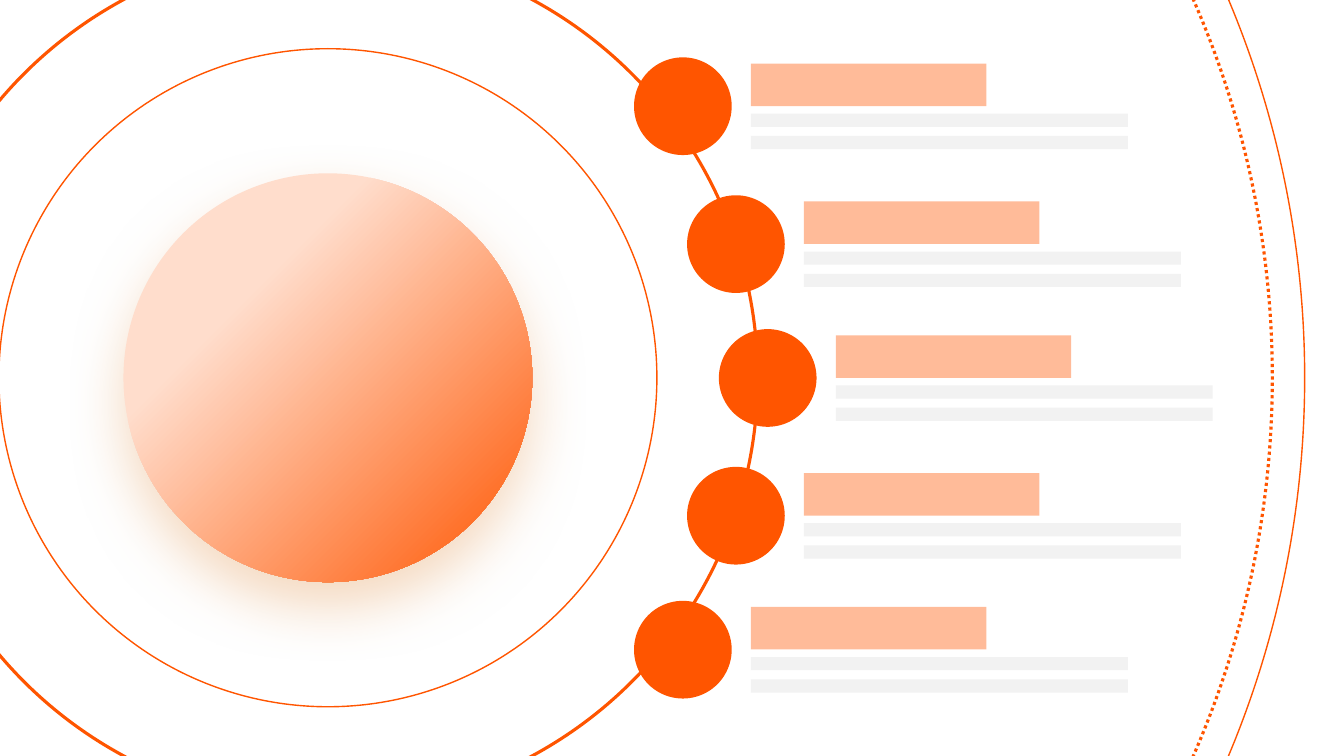
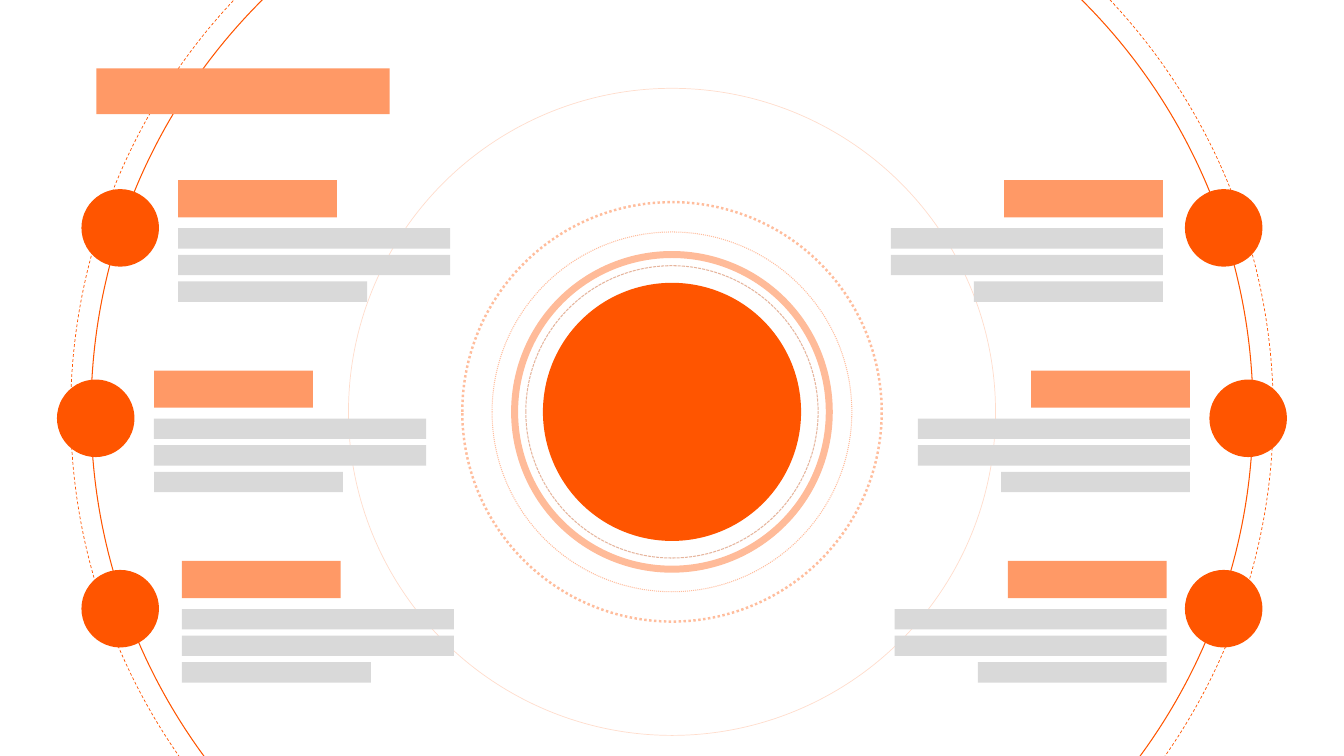
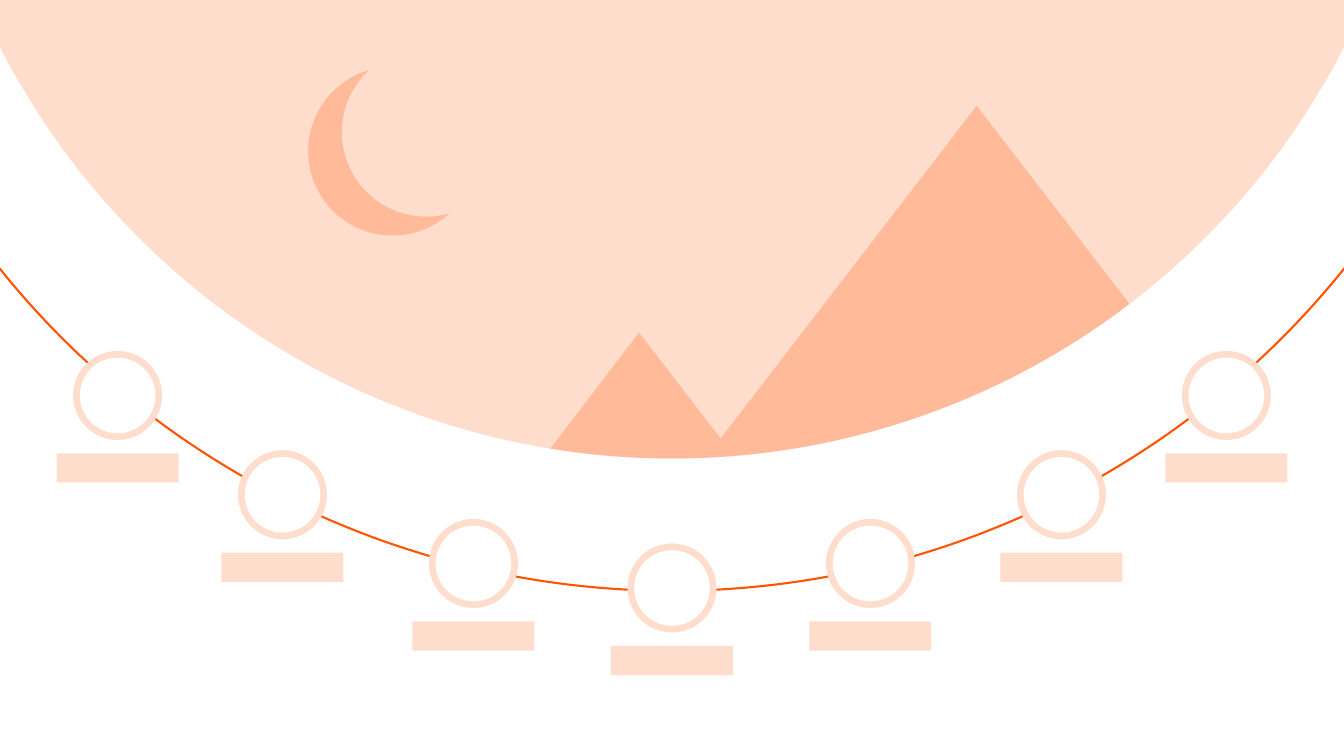
from itertools import pairwise
from math import cos, radians, sin, tan

from pptx import Presentation
from pptx.dml.color import RGBColor
from pptx.enum.dml import MSO_LINE as DASH
from pptx.enum.shapes import MSO_SHAPE as SHAPE
from pptx.oxml import parse_xml
from pptx.oxml.ns import nsdecls, qn
from pptx.util import Pt

ORANGE = RGBColor(0xFF, 0x55, 0x00)
RUST = RGBColor(0xBF, 0x40, 0x00)
MID_ORANGE = RGBColor(0xFF, 0x99, 0x66)
PEACH = RGBColor(0xFF, 0xBB, 0x99)
PALE_PEACH = RGBColor(0xFF, 0xDD, 0xCC)
GREY = RGBColor(0xD9, 0xD9, 0xD9)
LIGHT_GREY = RGBColor(0xF2, 0xF2, 0xF2)
WHITE = RGBColor(0xFF, 0xFF, 0xFF)
WIDTH, HEIGHT = 960, 540
MID_X = WIDTH / 2


def paint(sp, color):
    """Give a shape a plain fill without line or shadow."""
    sp.shadow.inherit = False
    sp.fill.solid()
    sp.fill.fore_color.rgb = color
    sp.line.fill.background()
    return sp


def outline(sp, width, color=ORANGE, dash=None, alpha=None):
    """Give a shape a line only, optionally dashed or translucent."""
    sp.shadow.inherit = False
    sp.fill.background()
    sp.line.color.rgb = color
    sp.line.width = Pt(width)
    if dash:
        sp.line.dash_style = dash
    if alpha:
        clr = sp._element.spPr.find(qn("a:ln")).find(".//" + qn("a:srgbClr"))
        clr.append(parse_xml(f'<a:alpha {nsdecls("a")} val="{alpha * 1000}"/>'))


def round_shape(shapes, cx, cy, r, kind=SHAPE.OVAL):
    """Add a shape inscribed in the circle with this centre and radius."""
    return shapes.add_shape(kind, Pt(cx - r), Pt(cy - r), Pt(2 * r), Pt(2 * r))


def disc(shapes, cx, cy, r, color):
    """Add a filled circle."""
    return paint(round_shape(shapes, cx, cy, r), color)


def ring(shapes, cx, cy, r, width, **style):
    """Add an unfilled circle."""
    outline(round_shape(shapes, cx, cy, r), width, **style)


def bar(shapes, x, y, w, h, color):
    """Add a filled rectangle."""
    paint(shapes.add_shape(SHAPE.RECTANGLE, Pt(x), Pt(y), Pt(w), Pt(h)), color)


def arc_steps(cx, cy, r, *angles):
    """Return a line to an arc's start, then a Bezier step for each pair of angles."""
    def at(angle, tangent=0):
        a = radians(angle)
        return cx + r * (cos(a) - tangent * sin(a)), cy + r * (sin(a) + tangent * cos(a))

    steps = [[at(angles[0])]]
    for a, b in pairwise(angles):
        k = 4 / 3 * tan(radians(b - a) / 4)
        steps.append([at(a, k), at(b, -k), at(b)])
    return steps


def curved_fill(shapes, steps, color):
    """Add a filled closed freeform from steps of one point (line) or three (curve)."""
    first, *rest = [(Pt(x), Pt(y)) for step in steps for x, y in step]
    builder = shapes.build_freeform(*first)
    builder.add_line_segments(rest, close=True)
    sp = paint(builder.convert_to_shape(), color)
    lines = iter(list(sp._element.iter(qn("a:lnTo"))))
    for step in steps[1:]:
        parts = [next(lines) for _ in step]
        if len(parts) == 3:
            curve = parse_xml(f'<a:cubicBezTo {nsdecls("a")}/>')
            parts[0].addprevious(curve)
            for part in parts:
                curve.append(part[0])
                part.getparent().remove(part)


def glowing_disc(shapes, cx, cy, r):
    """Add a circle with a diagonal gradient and a soft shadow."""
    sp = disc(shapes, cx, cy, r, ORANGE)
    sp.fill.gradient()
    sp.fill.gradient_angle = 315
    for stop, position, color in zip(sp.fill.gradient_stops, (0.3, 1), (PALE_PEACH, ORANGE)):
        stop.position = position
        stop.color.rgb = color
    sp._element.spPr.find(qn("a:effectLst")).append(parse_xml(
        f'<a:outerShdw {nsdecls("a")} blurRad="{Pt(41)}" dist="{Pt(18)}" dir="5400000" '
        'algn="t" rotWithShape="0"><a:srgbClr val="EFC49C"><a:alpha val="64000"/>'
        '</a:srgbClr></a:outerShdw>'))


def orbit_item(s, cx, cy):
    """Add a grouped node with its heading bar and two text bars."""
    shapes = s.shapes.add_group_shape().shapes
    disc(shapes, cx, cy, 34.9, ORANGE)
    x = cx + 48.6
    bar(shapes, x, cy - 30.5, 168.2, 30.4, PEACH)
    for dy in (5.3, 21.2):
        bar(shapes, x, cy + dy, 269.3, 9.4, LIGHT_GREY)


def text_bars(shapes, edge, y, from_right):
    """Add a heading bar and three text bars aligned to one edge."""
    rows = [(0, 113.4, 26.6, MID_ORANGE)]
    rows += [(34.3 + 19 * i, w, 14.6, GREY) for i, w in enumerate((194.4, 194.4, 135))]
    for dy, w, h, color in rows:
        bar(shapes, edge - w if from_right else edge, y + dy, w, h, color)


def arc_node(shapes, cx, cy):
    """Add a white node with a pale rim and a label bar below."""
    bar(shapes, cx - 43.6, cy + 41.4, 87.2, 20.8, PALE_PEACH)
    disc(shapes, cx, cy, 31.8, PALE_PEACH)
    disc(shapes, cx, cy, 27, WHITE)


def orbit_slide(s):
    """Build the gradient disc with five items on its orbit."""
    cx, cy = 234.2, 269.8
    glowing_disc(s.shapes, cx, cy, 146)
    ring(s.shapes, cx, cy, 307, 2.25)
    ring(s.shapes, cx, cy, 235, 1)
    ring(s.shapes, cx, cy, 674.6, 2.25, dash=DASH.ROUND_DOT)
    ring(s.shapes, cx, cy, 697.7, 1)
    for x, y in ((525.7, 174.4), (548.4, 270), (525.7, 368.4), (487.8, 75.9), (487.8, 464.1)):
        orbit_item(s, x, y)


def hub_slide(s):
    """Build the central hub with three items on each side."""
    shapes, cy = s.shapes, 294.2
    orbits = shapes.add_group_shape().shapes
    ring(orbits, MID_X, cy, 415, 0.75)
    ring(orbits, MID_X, cy, 429.5, 0.5, dash=DASH.DASH)
    ring(shapes, MID_X, cy, 231.1, 0.5, alpha=20)
    rows = ((394.1, 127.2, 830.7), (411.6, 110, 850), (394.1, 129.9, 833.4))
    for i, (dx, left, right) in enumerate(rows):
        y = 162.8 + 136 * i
        for x in (MID_X - dx, MID_X + dx):
            disc(shapes, x, y, 27.7, ORANGE)
        text_bars(shapes, left, y - 34.1, False)
        text_bars(shapes, right, y - 34.1, True)
    for r, width, style in (
        (149.8, 1.75, {"dash": DASH.ROUND_DOT, "alpha": 38}),
        (128.5, 0.75, {"dash": DASH.ROUND_DOT, "alpha": 38}),
        (104.4, 0.75, {"color": RUST, "dash": DASH.SQUARE_DOT, "alpha": 38}),
        (112.4, 5, {"color": PEACH}),
    ):
        ring(shapes, MID_X, cy, r, width, **style)
    disc(shapes, MID_X, cy, 92.2, ORANGE)
    bar(shapes, 68.8, 48.8, 209.5, 32.7, MID_ORANGE)


def landscape_slide(s):
    """Build the night landscape above an arc of seven nodes."""
    shapes = s.shapes
    arc = round_shape(shapes, MID_X, -194, 616, SHAPE.ARC)
    for i, degrees in enumerate((37.14, 144.16)):
        arc.adjustments[i] = degrees * 0.6
    outline(arc, 1.5)

    horizon = (MID_X, -211.4, 538.9)
    sky = [[(0, 0)], [(WIDTH, 0)], *arc_steps(*horizon, 27.04, 90, 152.96)]
    peaks = [[(456.5, 237.6)], [(514.8, 313.2)], [(697.7, 75.6)]]
    mountains = peaks + arc_steps(*horizon, 52.67, 90, 99.28)
    moon = arc_steps(280.4, 108, 60.3, 46.7, 90, 180, 253.6)
    moon += arc_steps(304.5, 94.5, 60.3, 227.1, 180, 90, 73.2)
    for steps, color in ((sky, PALE_PEACH), (mountains, PEACH), (moon, PEACH)):
        curved_fill(shapes, steps, color)

    for dx, y in ((-396, 282.5), (-278.2, 353.4), (-141.8, 402.5), (0, 420),
                  (141.8, 402.5), (278.2, 353.4), (396, 282.5)):
        arc_node(shapes, MID_X + dx, y)


def main():
    """Build and save the presentation."""
    prs = Presentation()
    prs.slide_width, prs.slide_height = Pt(WIDTH), Pt(HEIGHT)
    for build in (orbit_slide, hub_slide, landscape_slide):
        build(prs.slides.add_slide(prs.slide_layouts[6]))
    prs.save("out.pptx")


if __name__ == "__main__":
    main()
